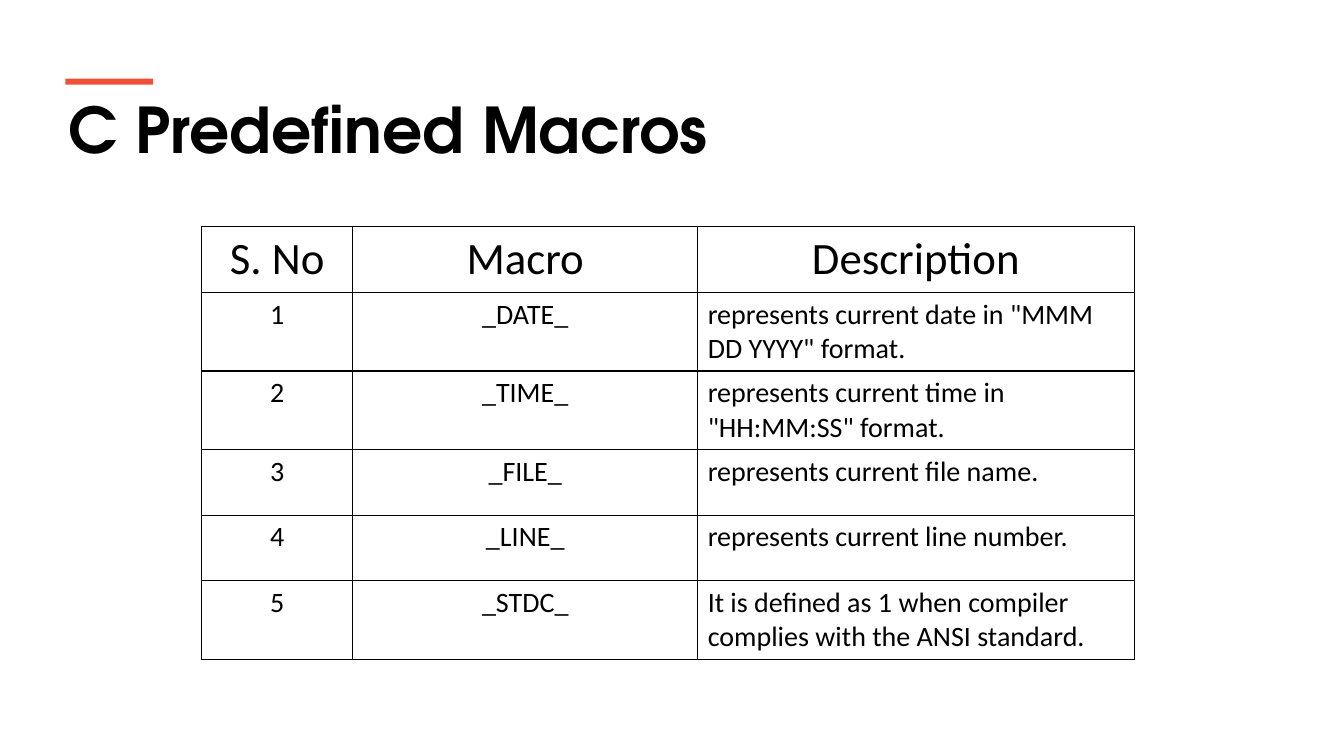
from dataclasses import dataclass

from lxml.etree import SubElement
from pptx import Presentation
from pptx.dml.color import RGBColor
from pptx.enum.shapes import MSO_SHAPE
from pptx.enum.text import MSO_ANCHOR, PP_ALIGN
from pptx.oxml.ns import qn
from pptx.slide import Slide
from pptx.table import _Cell
from pptx.text.text import TextFrame
from pptx.util import Inches, Pt

BLACK = RGBColor(0x00, 0x00, 0x00)
WHITE = RGBColor(0xFF, 0xFF, 0xFF)
ACCENT = RGBColor(0xF0, 0x51, 0x36)
TITLE_FONT = "TeX Gyre Adventor"
TABLE_FONT = "Calibri"


@dataclass(frozen=True)
class Macro:
    name: str
    description: str


@dataclass(frozen=True)
class Column:
    heading: str
    width: float
    alignment: PP_ALIGN


COLUMNS = [
    Column("S. No", 1.5, PP_ALIGN.CENTER),
    Column("Macro", 3.42, PP_ALIGN.CENTER),
    Column("Description", 4.33, PP_ALIGN.LEFT),
]
MACROS = [
    Macro("_DATE_", 'represents current date in "MMM DD YYYY" format.'),
    Macro("_TIME_", 'represents current time in "HH:MM:SS" format.'),
    Macro("_FILE_", "represents current file name."),
    Macro("_LINE_", "represents current line number."),
    Macro("_STDC_", "It is defined as 1 when compiler complies with the ANSI standard."),
]
ROW_HEIGHT = 0.65


def write_text(
    text_frame: TextFrame,
    text: str,
    *,
    font: str,
    size: float,
    bold: bool = False,
    alignment: PP_ALIGN = PP_ALIGN.LEFT,
) -> None:
    paragraph = text_frame.paragraphs[0]
    paragraph.alignment = alignment
    run = paragraph.add_run()
    run.text = text
    run.font.name = font
    run.font.size = Pt(size)
    run.font.bold = bold
    run.font.color.rgb = BLACK


def add_borders(cell: _Cell) -> None:
    properties = cell._tc.get_or_add_tcPr()
    for side in ("a:lnL", "a:lnR", "a:lnT", "a:lnB"):
        line = SubElement(properties, qn(side), w=str(Pt(1)))
        fill = SubElement(line, qn("a:solidFill"))
        SubElement(fill, qn("a:srgbClr"), val=str(BLACK))


def format_title(slide: Slide) -> None:
    title = slide.shapes.title
    title.left, title.top = Inches(0.58), Inches(0.84)
    title.width, title.height = Inches(12.18), Inches(0.86)
    title.text_frame.word_wrap = True
    title.text_frame.vertical_anchor = MSO_ANCHOR.MIDDLE
    write_text(title.text_frame, "C Predefined Macros", font=TITLE_FONT, size=45, bold=True)


def add_accent_bar(slide: Slide) -> None:
    bar = slide.shapes.add_shape(
        MSO_SHAPE.RECTANGLE, Inches(0.65), Inches(0.78), Inches(0.87), Inches(0.06)
    )
    bar.shadow.inherit = False
    bar.fill.solid()
    bar.fill.fore_color.rgb = ACCENT
    bar.line.fill.background()


def add_macro_table(slide: Slide) -> None:
    headings = [column.heading for column in COLUMNS]
    rows = [headings] + [
        [str(number), macro.name, macro.description]
        for number, macro in enumerate(MACROS, start=1)
    ]
    table = slide.shapes.add_table(
        len(rows),
        len(COLUMNS),
        Inches(2),
        Inches(2.25),
        Inches(sum(column.width for column in COLUMNS)),
        Inches(ROW_HEIGHT * len(rows)),
    ).table
    table.first_row = False
    table.horz_banding = False
    for table_column, column in zip(table.columns, COLUMNS):
        table_column.width = Inches(column.width)
    for row_index, texts in enumerate(rows):
        is_heading = row_index == 0
        table.rows[row_index].height = Inches(ROW_HEIGHT)
        for column_index, (column, text) in enumerate(zip(COLUMNS, texts)):
            cell = table.cell(row_index, column_index)
            add_borders(cell)
            cell.fill.solid()
            cell.fill.fore_color.rgb = WHITE
            write_text(
                cell.text_frame,
                text,
                font=TABLE_FONT,
                size=32 if is_heading else 20,
                alignment=PP_ALIGN.CENTER if is_heading else column.alignment,
            )


def main() -> None:
    presentation = Presentation()
    presentation.slide_width = Inches(13.33)
    presentation.slide_height = Inches(7.5)
    slide = presentation.slides.add_slide(presentation.slide_layouts.get_by_name("Title Only"))
    format_title(slide)
    add_accent_bar(slide)
    add_macro_table(slide)
    presentation.save("out.pptx")


if __name__ == "__main__":
    main()
